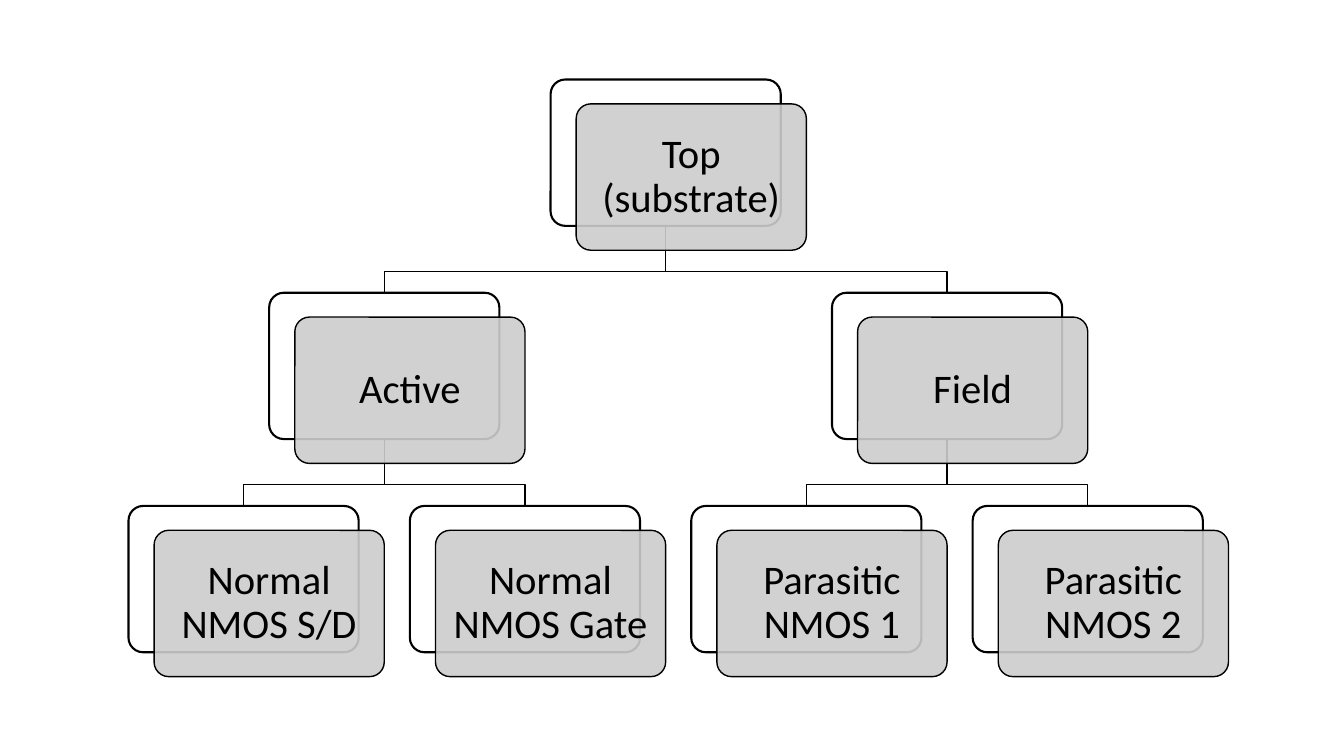
from dataclasses import dataclass, field

import lxml.etree
import pptx
import pptx.dml.color
import pptx.enum.shapes
import pptx.enum.text
import pptx.oxml.ns
import pptx.util
from pptx.util import Pt


@dataclass(frozen=True)
class Theme:
    ink: str = "000000"
    back_fill: str = "FFFFFF"
    card_fill: str = "CCCCCC"
    card_opacity: int = 90
    font: str = "Calibri"
    text_size: float = 29
    back_line: float = 1.5
    thin_line: float = 1


@dataclass
class Node:
    label: str
    children: list = field(default_factory=list)
    center: float = 0
    top: float = 0


THEME = Theme()
CARD_WIDTH, CARD_HEIGHT = 164.4, 104.5
CARD_SHIFT_X, CARD_SHIFT_Y = 18.3, 17.4
CORNER = 0.1
TEXT_INSET = 8.7
FIRST_LEAF_CENTER, LEAF_PITCH = 174, 201
TREE_TOP, LEVEL_PITCH = 56.8, 152.3
BUS_RISE = 15.2  # distance from a bus line down to the boxes below it

TREE = Node("Top (substrate)", [
    Node("Active", [Node("Normal NMOS S/D"), Node("Normal NMOS Gate")]),
    Node("Field", [Node("Parasitic NMOS 1"), Node("Parasitic NMOS 2")]),
])


def rgb(color):
    return pptx.dml.color.RGBColor.from_string(color)


def place(node, level=0, leaf=0):
    """Set positions in the subtree and return the index of the next free leaf."""
    node.top = TREE_TOP + level * LEVEL_PITCH
    if not node.children:
        node.center = FIRST_LEAF_CENTER + leaf * LEAF_PITCH
        return leaf + 1
    for child in node.children:
        leaf = place(child, level + 1, leaf)
    node.center = (node.children[0].center + node.children[-1].center) / 2
    return leaf


def walk(node):
    yield node
    for child in node.children:
        yield from walk(child)


def set_outline(shape, width):
    shape.shadow.inherit = False
    shape.line.color.rgb = rgb(THEME.ink)
    shape.line.width = Pt(width)


def add_link(slide, parent, child):
    bus = child.top - BUS_RISE
    builder = slide.shapes.build_freeform(
        Pt(parent.center), Pt(parent.top + CARD_HEIGHT))
    builder.add_line_segments(
        [(Pt(parent.center), Pt(bus)),
         (Pt(child.center), Pt(bus)),
         (Pt(child.center), Pt(child.top))],
        close=False)
    link = builder.convert_to_shape()
    link.fill.background()
    set_outline(link, THEME.thin_line)


def add_rounded_box(slide, left, top, fill, line_width):
    box = slide.shapes.add_shape(
        pptx.enum.shapes.MSO_SHAPE.ROUNDED_RECTANGLE,
        Pt(left), Pt(top), Pt(CARD_WIDTH), Pt(CARD_HEIGHT))
    box.adjustments[0] = CORNER
    box.fill.solid()
    box.fill.fore_color.rgb = rgb(fill)
    set_outline(box, line_width)
    return box


def set_opacity(shape, percent):
    color = shape._element.spPr.find(
        pptx.oxml.ns.qn("a:solidFill")).find(pptx.oxml.ns.qn("a:srgbClr"))
    alpha = lxml.etree.SubElement(color, pptx.oxml.ns.qn("a:alpha"))
    alpha.set("val", str(percent * 1000))


def write_label(card, label):
    frame = card.text_frame
    frame.word_wrap = True
    frame.vertical_anchor = pptx.enum.text.MSO_ANCHOR.MIDDLE
    frame.margin_left = frame.margin_right = Pt(TEXT_INSET)
    frame.margin_top = frame.margin_bottom = Pt(TEXT_INSET)
    paragraph = frame.paragraphs[0]
    paragraph.text = label
    paragraph.alignment = pptx.enum.text.PP_ALIGN.CENTER
    paragraph.line_spacing = 0.9
    paragraph.font.name = THEME.font
    paragraph.font.size = Pt(THEME.text_size)
    paragraph.font.color.rgb = rgb(THEME.ink)


def add_node(slide, node):
    """Draw a white box with a shifted, translucent label card over it."""
    left = node.center - CARD_WIDTH / 2
    add_rounded_box(slide, left, node.top, THEME.back_fill, THEME.back_line)
    card = add_rounded_box(slide, left + CARD_SHIFT_X, node.top + CARD_SHIFT_Y,
                           THEME.card_fill, THEME.thin_line)
    set_opacity(card, THEME.card_opacity)
    write_label(card, node.label)


def main():
    deck = pptx.Presentation()
    deck.slide_width, deck.slide_height = Pt(960), Pt(540)
    slide = deck.slides.add_slide(deck.slide_layouts[6])
    place(TREE)
    for parent in walk(TREE):
        for child in parent.children:
            add_link(slide, parent, child)
    for node in walk(TREE):
        add_node(slide, node)
    deck.save("out.pptx")


if __name__ == "__main__":
    main()
